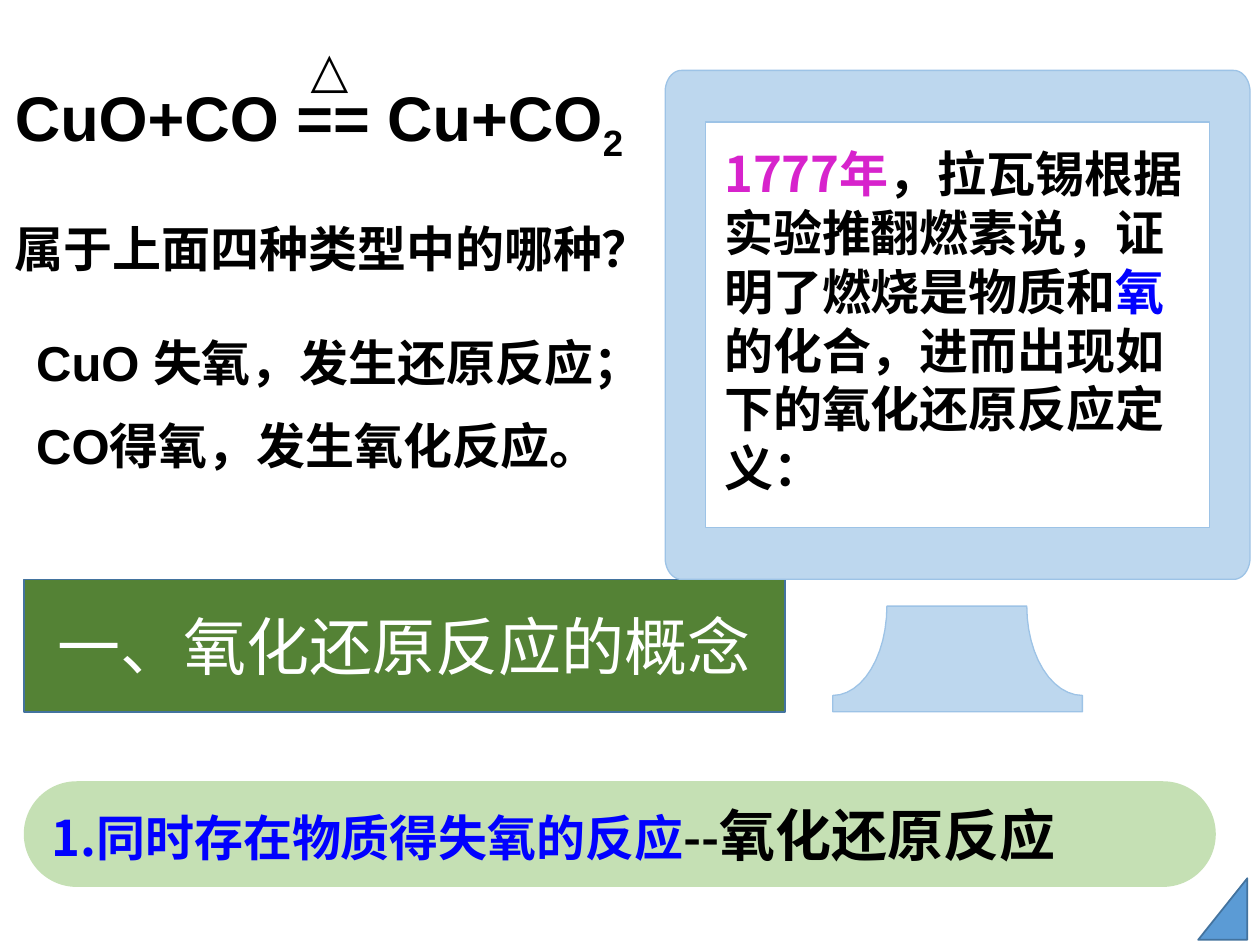
from math import cos, radians, sin

from lxml.etree import SubElement
from pptx import Presentation
from pptx.dml.color import RGBColor
from pptx.enum.shapes import MSO_SHAPE as Shape
from pptx.enum.text import MSO_ANCHOR as Anchor, MSO_AUTO_SIZE as AutoSize, PP_ALIGN as Align
from pptx.oxml import parse_xml
from pptx.oxml.ns import nsdecls, qn
from pptx.util import Cm, Pt

BLACK = RGBColor(0x00, 0x00, 0x00)
WHITE = RGBColor(0xFF, 0xFF, 0xFF)
BLUE = RGBColor(0x01, 0x01, 0xFF)
MAGENTA = RGBColor(0xD7, 0x23, 0xCC)
MONITOR_BLUE = RGBColor(0xBD, 0xD7, 0xEE)
MONITOR_EDGE = RGBColor(0x9D, 0xC3, 0xE6)
DARK_GREEN = RGBColor(0x54, 0x82, 0x35)
PALE_GREEN = RGBColor(0xC5, 0xE0, 0xB4)
CORNER_BLUE = RGBColor(0x5B, 0x9B, 0xD5)
DARK_EDGE = RGBColor(0x43, 0x73, 0x9E)
CJK = "Noto Sans CJK SC"


def add_run(paragraph, text, size=28, font="Arial", color=BLACK, bold=True):
    run = paragraph.add_run()
    run.text = text
    run.font.size = Pt(size)
    run.font.bold = bold
    run.font.color.rgb = color
    run.font.name = font
    SubElement(run.font._element, qn("a:ea"), typeface=CJK)
    return run


def arc(center_x, center_y, radius_x, radius_y, start, end, steps=12):
    """Points of an elliptical arc in cm; angles run clockwise from the right."""
    angles = [radians(start + (end - start) * i / steps) for i in range(steps + 1)]
    return [(center_x + radius_x * cos(a), center_y + radius_y * sin(a)) for a in angles]


presentation = Presentation()
presentation.slide_width = Cm(25.4)
presentation.slide_height = Cm(19.05)
slide = presentation.slides.add_slide(presentation.slide_layouts[5])
shapes = slide.shapes

# Monitor: stand, screen opening and rounded frame in one outline
stand = ([(17.88, 12.22), (20.7, 12.22)] + arc(21.82, 12.22, 1.12, 1.8, 180, 90)
         + [(21.82, 14.35), (16.79, 14.35)] + arc(16.79, 12.22, 1.09, 1.8, 90, 0))
screen = [(14.22, 2.46), (14.22, 10.64), (24.38, 10.64), (24.38, 2.46)]
frame = []
for center_x, center_y, start in ((13.74, 1.85, 180), (24.87, 1.85, 270),
                                  (24.87, 11.25, 0), (13.74, 11.25, 90)):
    frame += arc(center_x, center_y, 0.33, 0.43, start, start + 90)

builder = shapes.build_freeform(Cm(stand[0][0]), Cm(stand[0][1]))
for contour in (stand, screen, frame):
    points = [(Cm(x), Cm(y)) for x, y in contour]
    if contour is not stand:
        builder.move_to(*points[0])
    builder.add_line_segments(points[1:], close=True)
monitor = builder.convert_to_shape()

# Section title, set in the title placeholder as an arrow
title = shapes.title
title.left, title.top, title.width, title.height = Cm(0.48), Cm(11.68), Cm(15.34), Cm(2.67)
title._element.spPr.append(parse_xml(
    f'<a:prstGeom {nsdecls("a")} prst="homePlate"><a:avLst/></a:prstGeom>'))
title.text_frame.auto_size = AutoSize.NONE
title.text_frame.vertical_anchor = Anchor.MIDDLE
title_paragraph = title.text_frame.paragraphs[0]
title_paragraph.alignment = Align.CENTER
add_run(title_paragraph, "一、氧化还原反应的概念", size=36, font=CJK, color=WHITE, bold=False)

# Definition bar and corner triangle
definition = shapes.add_shape(Shape.ROUNDED_RECTANGLE, Cm(0.48), Cm(15.75), Cm(24.03), Cm(2.13))
definition.adjustments[0] = 0.5
definition.text_frame.vertical_anchor = Anchor.MIDDLE
definition_paragraph = definition.text_frame.paragraphs[0]
definition_paragraph.alignment = Align.LEFT
add_run(definition_paragraph, "1.同时存在物质得失氧的反应", font=CJK, color=BLUE)
add_run(definition_paragraph, "--", font=CJK)
add_run(definition_paragraph, "氧化还原反应", size=32)

corner = shapes.add_shape(Shape.RIGHT_TRIANGLE, Cm(24.03), Cm(17.83), Cm(1.24), Cm(0.99))
corner.rotation = 270

for shape, fill, edge, width in ((monitor, MONITOR_BLUE, MONITOR_EDGE, 0.75),
                                 (title, DARK_GREEN, DARK_EDGE, 1),
                                 (definition, PALE_GREEN, None, 0),
                                 (corner, CORNER_BLUE, DARK_EDGE, 1)):
    shape.shadow.inherit = False
    shape.fill.solid()
    shape.fill.fore_color.rgb = fill
    if edge is None:
        shape.line.fill.background()
    else:
        shape.line.color.rgb = edge
        shape.line.width = Pt(width)

# Text boxes: place, alignment, then paragraphs made of (text, format) runs
text_boxes = (
    ((0.05, 4.29, 13.51, 1.45), Align.LEFT,
     [[("属于上面四种类型中的哪种？", {"font": CJK})]]),
    ((0.48, 6.58, 12.65, 3.23), Align.LEFT,
     [[("CuO 失氧，发生还原反应；", {})], [("CO得氧，发生氧化反应。", {})]]),
    ((0.05, 1.45, 13.89, 1.78), Align.LEFT,
     [[("CuO+CO == Cu+CO", {"size": 36}), ("2", {"size": 36})]]),
    ((5.28, 0.66, 2.72, 1.45), Align.CENTER, [[("△", {})]]),
    ((14.35, 2.77, 10.19, 7.37), Align.LEFT,
     [[("1777年", {"font": CJK, "color": MAGENTA}),
       ("，拉瓦锡根据实验推翻燃素说，证明了燃烧是物质和", {"font": CJK}),
       ("氧", {"font": CJK, "color": BLUE}),
       ("的化合，进而出现如下的氧化还原反应定义：", {"font": CJK})]]),
)
for place, alignment, paragraphs in text_boxes:
    text_frame = shapes.add_textbox(*map(Cm, place)).text_frame
    text_frame.word_wrap = True
    for index, runs in enumerate(paragraphs):
        paragraph = text_frame.add_paragraph() if index else text_frame.paragraphs[0]
        paragraph.alignment = alignment
        if index:
            paragraph.space_before = Pt(14)
        for text, text_format in runs:
            run = add_run(paragraph, text, **text_format)
            if text == "2":
                run.font._element.set("baseline", "-25000")
            elif text == "△":
                run.font._element.find(qn("a:latin")).addprevious(parse_xml(
                    f'<a:effectLst {nsdecls("a")}><a:outerShdw dist="38100" dir="2700000">'
                    '<a:srgbClr val="C0C0C0"/></a:outerShdw></a:effectLst>'))

presentation.save("out.pptx")
